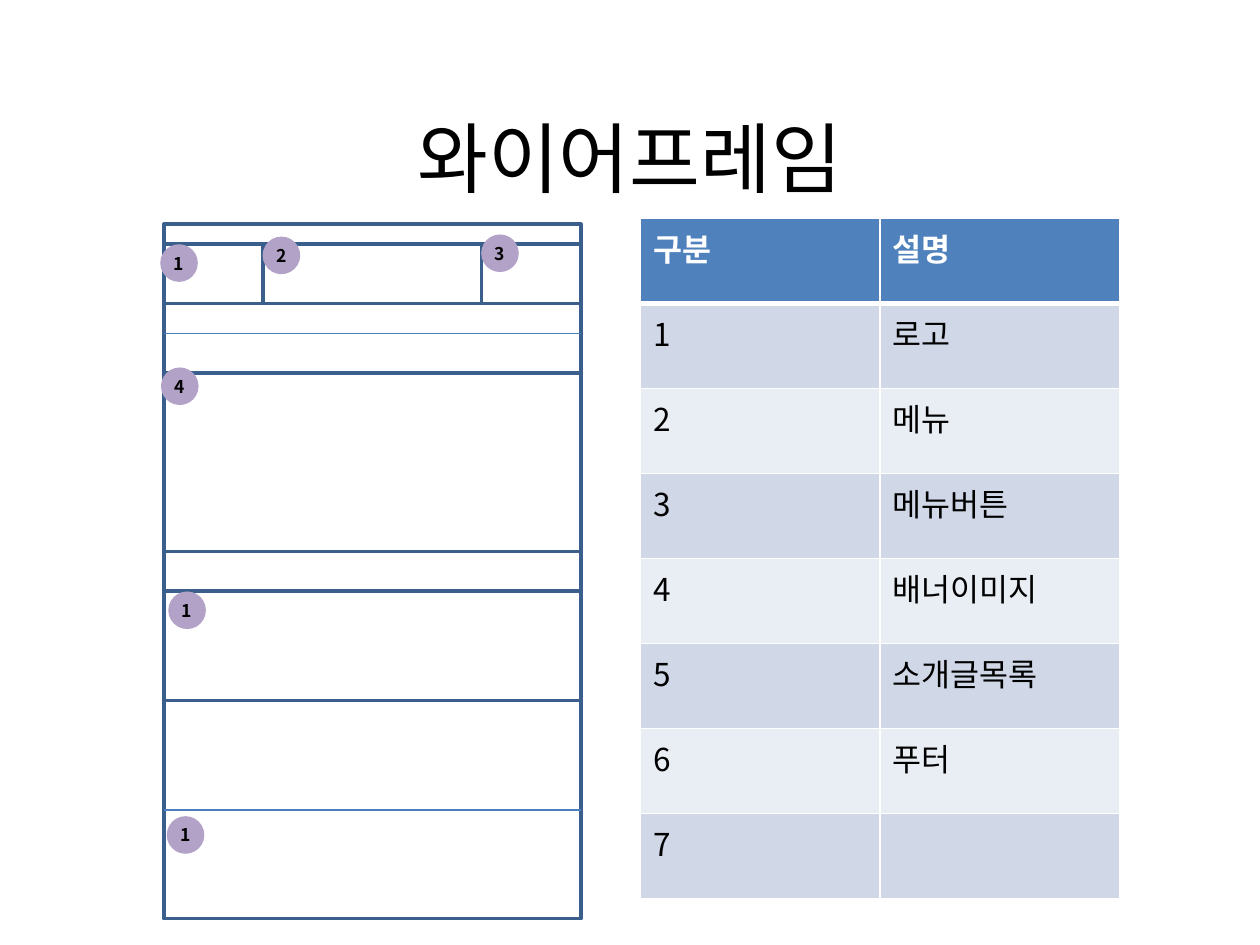
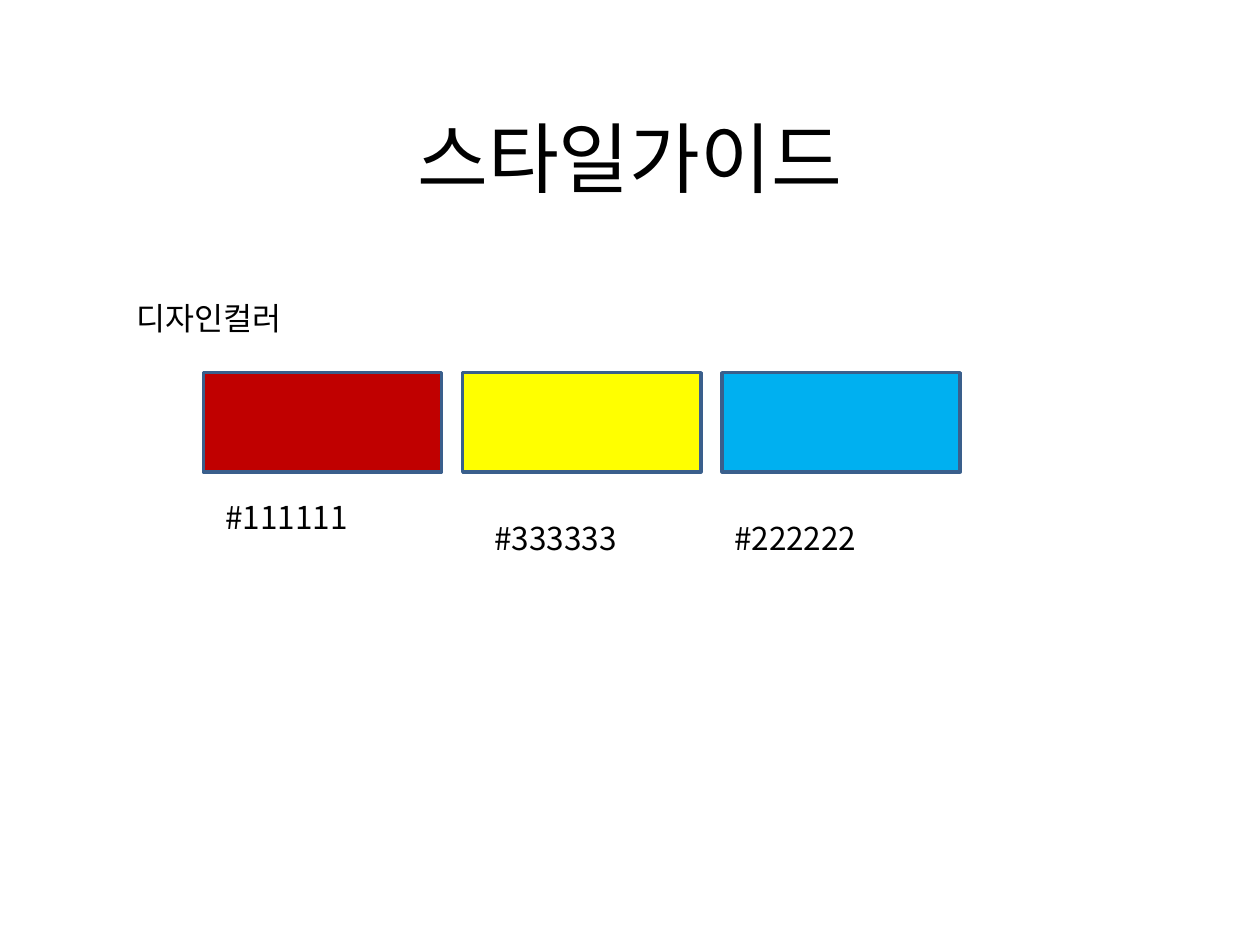
import pptx
import pptx.dml.color
import pptx.enum.shapes
import pptx.enum.text
import pptx.oxml.ns
import pptx.util
from lxml import etree

Pt = pptx.util.Pt
SHAPE = pptx.enum.shapes.MSO_SHAPE
ALIGN = pptx.enum.text.PP_ALIGN
ANCHOR = pptx.enum.text.MSO_ANCHOR
AUTO = pptx.enum.text.MSO_AUTO_SIZE
qn = pptx.oxml.ns.qn

FONT = "Noto Sans CJK KR"
COLORS = {
    "text": "000000", "white": "FFFFFF", "outline": "3A5F8C", "rule": "4B7EBC",
    "badge": "B3A2C7", "header": "4F81BD", "odd": "D0D8E8", "even": "E9EDF4",
    "red": "C00000", "yellow": "FFFF00", "blue": "00B0F0",
}


def rgb(name):
    return pptx.dml.color.RGBColor.from_string(COLORS[name])


class Deck:
    """Holds the shared style and the slide being built."""

    def __init__(self):
        self.prs = pptx.Presentation()
        self.prs.slide_width, self.prs.slide_height = Pt(720), Pt(540)
        self.s = None

    def slide(self, title):
        self.s = self.prs.slides.add_slide(self.prs.slide_layouts[5])
        sp = self.s.shapes.title
        sp.left, sp.top, sp.width, sp.height = Pt(54), Pt(31.5), Pt(612), Pt(116)
        tf = sp.text_frame
        tf.auto_size = AUTO.NONE
        tf.vertical_anchor = ANCHOR.MIDDLE
        self.run(tf, title, 44, align=ALIGN.CENTER)

    def run(self, tf, text, size=18, color="text", bold=False, align=ALIGN.LEFT):
        p = tf.paragraphs[0]
        p.alignment = align
        r = p.add_run()
        r.text = text
        r.font.size, r.font.bold, r.font.name = Pt(size), bold, FONT
        r.font.color.rgb = rgb(color)
        etree.SubElement(r.font._element, qn("a:ea"), typeface=FONT)

    def shape(self, kind, x, y, w, h, fill, line=None):
        sp = self.s.shapes.add_shape(kind, Pt(x), Pt(y), Pt(w), Pt(h))
        sp.shadow.inherit = False
        sp.fill.solid()
        sp.fill.fore_color.rgb = rgb(fill)
        if line:
            sp.line.color.rgb = rgb(line)
            sp.line.width = Pt(2)
        else:
            sp.line.fill.background()
        return sp

    def box(self, x, y, w, h, fill="white"):
        self.shape(SHAPE.RECTANGLE, x, y, w, h, fill, "outline")

    def badge(self, x, y, label):
        sp = self.shape(SHAPE.OVAL, x, y, 21.5, 21.5, "badge")
        tf = sp.text_frame
        tf.margin_left = tf.margin_right = tf.margin_top = tf.margin_bottom = 0
        tf.word_wrap = False
        tf.vertical_anchor = ANCHOR.MIDDLE
        self.run(tf, label, 10, bold=True, align=ALIGN.CENTER)

    def rule(self, x, y, w):
        line = self.s.shapes.add_connector(
            pptx.enum.shapes.MSO_CONNECTOR.STRAIGHT, Pt(x), Pt(y), Pt(x + w), Pt(y))
        line.line.color.rgb = rgb("rule")
        line.line.width = Pt(0.75)
        etree.SubElement(line._element.spPr, qn("a:effectLst"))

    def text(self, x, y, text):
        sp = self.s.shapes.add_textbox(Pt(x), Pt(y), Pt(124.7), Pt(29))
        sp.text_frame.word_wrap = True
        self.run(sp.text_frame, text)

    def borders(self, cell, top, bottom):
        tcPr = cell._tc.get_or_add_tcPr()
        sides = [("lnL", 1), ("lnR", 1), ("lnT", top), ("lnB", bottom)]
        for i, (side, width) in enumerate(sides):
            ln = etree.Element(qn("a:" + side), w=str(Pt(width)))
            fill = etree.SubElement(ln, qn("a:solidFill"))
            etree.SubElement(fill, qn("a:srgbClr"), val=COLORS["white"])
            tcPr.insert(i, ln)

    def table(self, x, y, col_w, row_h, rows):
        cols = len(rows[0])
        table = self.s.shapes.add_table(
            len(rows), cols, Pt(x), Pt(y), Pt(col_w * cols), Pt(row_h * len(rows))).table
        for col in table.columns:
            col.width = Pt(col_w)
        for i, row in enumerate(rows):
            table.rows[i].height = Pt(row_h)
            head = i == 0
            fill = "header" if head else "odd" if i % 2 else "even"
            for j, text in enumerate(row):
                cell = table.cell(i, j)
                cell.fill.solid()
                cell.fill.fore_color.rgb = rgb(fill)
                self.borders(cell, 3 if i == 1 else 1, 3 if head else 1)
                if text:
                    self.run(cell.text_frame, text, color="white" if head else "text", bold=head)


def wireframe(deck):
    deck.slide("와이어프레임")
    left, width = 93.6, 238.3
    deck.box(left, 128, width, 397)
    for y in (190.6, 462.8):
        deck.rule(left, y, width)
    side = 56.7
    menu = width - 2 * side
    for x, w in ((left, side), (left + side, menu), (left + side + menu, side)):
        deck.box(x, 139.5, w, 34)
    for y, h in ((213, 102.2), (337.8, 62.5)):
        deck.box(left, y, width, h)
    badges = [(91.6, 139.6, "1"), (150.1, 135.2, "2"), (275, 134, "3"),
              (92, 210, "4"), (96.2, 338, "1"), (95.3, 466.4, "1")]
    for x, y, label in badges:
        deck.badge(x, y, label)
    parts = ["로고", "메뉴", "메뉴버튼", "배너이미지", "소개글목록", "푸터", ""]
    rows = [("구분", "설명")] + [(str(n), part) for n, part in enumerate(parts, 1)]
    deck.table(366, 124.9, 136.9, 48.6, rows)


def style_guide(deck):
    deck.slide("스타일가이드")
    deck.text(70.9, 167.5, "디자인컬러")
    for i, fill in enumerate(("red", "yellow", "blue")):
        deck.box(116.2 + 148.2 * i, 213, 136.1, 56.7, fill)
    for x, y, code in ((121.7, 281.3, "#111111"), (275.5, 293, "#333333"), (412.4, 293, "#222222")):
        deck.text(x, y, code)


def main():
    deck = Deck()
    wireframe(deck)
    style_guide(deck)
    deck.prs.save("out.pptx")


if __name__ == "__main__":
    main()
